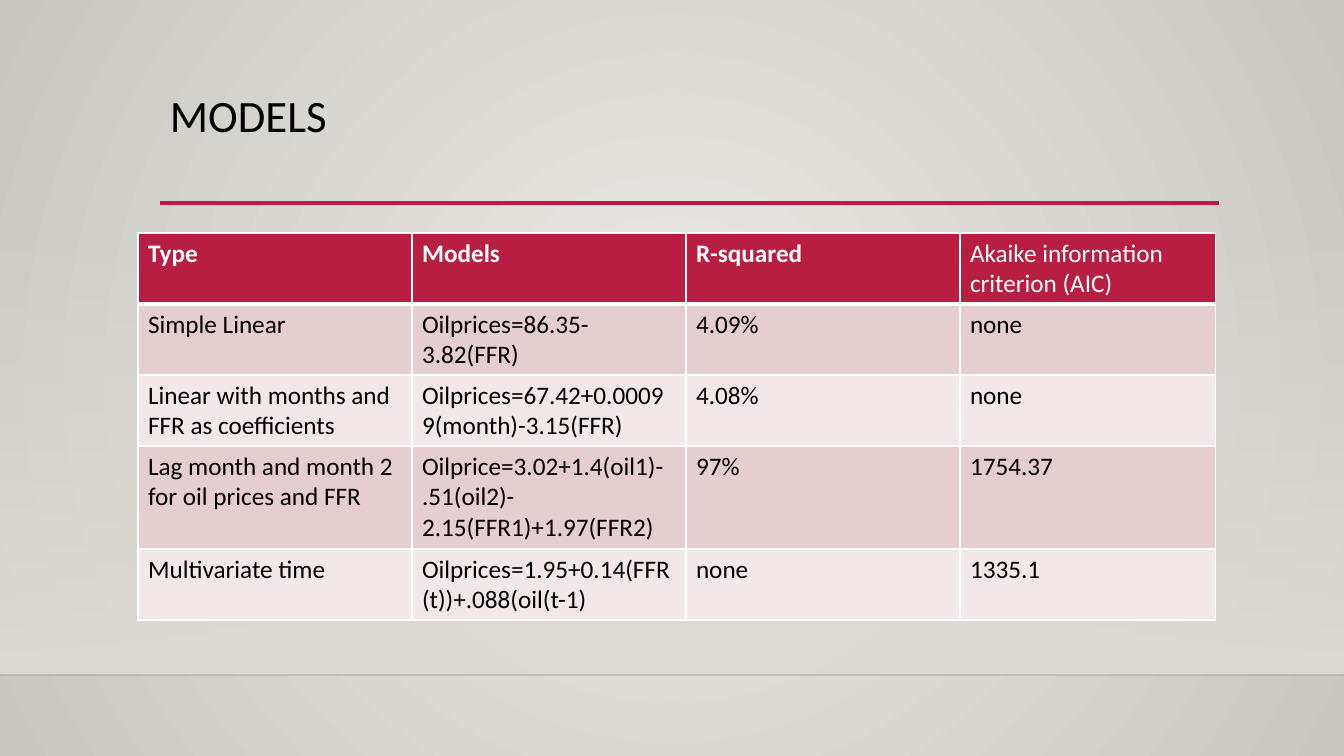
from pptx import Presentation
from pptx.dml.color import RGBColor
from pptx.enum.shapes import MSO_CONNECTOR, MSO_SHAPE
from pptx.enum.text import MSO_ANCHOR
from pptx.oxml import parse_xml
from pptx.oxml.ns import nsdecls, qn
from pptx.util import Pt

RECT, STRAIGHT = MSO_SHAPE.RECTANGLE, MSO_CONNECTOR.STRAIGHT
TOP = MSO_ANCHOR.TOP

TITLE = "MODELS"
ROWS = [
    ("Type", "Models", "R-squared", "Akaike information criterion (AIC)"),
    ("Simple Linear", "Oilprices=86.35-3.82(FFR)", "4.09%", "none"),
    ("Linear with months and FFR as coefficients",
     "Oilprices=67.42+0.00099(month)-3.15(FFR)", "4.08%", "none"),
    ("Lag month and month 2 for oil prices and FFR",
     "Oilprice=3.02+1.4(oil1)-.51(oil2)-2.15(FFR1)+1.97(FFR2)", "97%", "1754.37"),
    ("Multivariate time", "Oilprices=1.95+0.14(FFR(t))+.088(oil(t-1)", "none", "1335.1"),
]
COL_WIDTHS = [274, 274, 274, 256]
ROW_HEIGHTS = [71, 71, 71, 103, 71]

FONT = "Calibri"
RED, WHITE, BLACK = "B71E42", "FFFFFF", "000000"
BANDS = ["F3E8E9", "E6CDCF"]
WALL = "DFDBD5"
SLIDE_W, SLIDE_H = 1344, 756
WALL_TOP, FLOOR = 223, 675
RADIAL = '<a:path path="circle"><a:fillToRect l="50000" t="50000" r="50000" b="50000"/></a:path>'
DOWNWARD = '<a:lin ang="5400000" scaled="0"/>'


def px(n):
    return round(n * 914400 / 100.8)


def rgb(value):
    return RGBColor.from_string(value)


def set_gradient(fill, parent, stops, direction):
    """Fill parent with (position, colour, opacity) stops, all in percent."""
    fill.solid()
    gs = "".join(
        f'<a:gs pos="{pos * 1000}"><a:srgbClr val="{color}">'
        f'<a:alpha val="{opacity * 1000}"/></a:srgbClr></a:gs>'
        for pos, color, opacity in stops)
    solid = parent.find(qn("a:solidFill"))
    parent.replace(solid, parse_xml(
        f'<a:gradFill {nsdecls("a")} rotWithShape="1"><a:gsLst>{gs}</a:gsLst>{direction}</a:gradFill>'))


def add_line(x1, x2, y, color, width, opacity=100):
    line = slide.shapes.add_connector(STRAIGHT, px(x1), px(y), px(x2), px(y))
    line.line.color.rgb = rgb(color)
    line.line.width = Pt(width)
    spPr = line._element.spPr
    spPr.append(parse_xml(f'<a:effectLst {nsdecls("a")}/>'))
    if opacity < 100:
        clr = next(spPr.iter(qn("a:srgbClr")))
        clr.append(parse_xml(f'<a:alpha {nsdecls("a")} val="{opacity * 1000}"/>'))


def write(tf, text, size, color, bold=False):
    p = tf.paragraphs[0]
    r = p.add_run()
    r.text = text
    for name, value in {"name": FONT, "size": Pt(size), "bold": bold}.items():
        setattr(r.font, name, value)
    r.font.color.rgb = rgb(color)
    return p


def set_borders(cell, bottom):
    tcPr = cell._tc.get_or_add_tcPr()
    for side, width in {"L": 1, "R": 1, "T": 1, "B": bottom}.items():
        tcPr.append(parse_xml(
            f'<a:ln{side} {nsdecls("a")} w="{Pt(width)}"><a:solidFill>'
            f'<a:srgbClr val="{WHITE}"/></a:solidFill></a:ln{side}>'))


prs = Presentation()
prs.slide_width, prs.slide_height = px(SLIDE_W), px(SLIDE_H)
slide = prs.slides.add_slide(prs.slide_layouts[6])

bg_fill = slide.background.fill
set_gradient(bg_fill, next(slide._element.iter(qn("p:bgPr"))),
             [(0, "ECEAE7", 100), (100, "CAC7C1", 100)], RADIAL)

wall = slide.shapes.add_shape(RECT, 0, px(WALL_TOP), px(SLIDE_W), px(FLOOR - WALL_TOP))
wall.shadow.inherit = False
wall.line.fill.background()
set_gradient(wall.fill, wall._element.spPr, [(0, WALL, 0), (100, WALL, 100)], DOWNWARD)

add_line(0, SLIDE_W, FLOOR, "000001", 1, opacity=20)
add_line(160, 1219, 203, RED, 2.5)

title = slide.shapes.add_textbox(px(160), px(89), px(1058), px(116))
tf = title.text_frame
tf.word_wrap = True
tf.vertical_anchor = TOP
write(tf, TITLE, 32, BLACK).line_spacing = 0.9

table = slide.shapes.add_table(len(ROWS), len(COL_WIDTHS), px(138), px(233),
                               px(sum(COL_WIDTHS)), px(sum(ROW_HEIGHTS))).table
for column, width in zip(table.columns, COL_WIDTHS):
    column.width = px(width)
for i, (row, height, texts) in enumerate(zip(table.rows, ROW_HEIGHTS, ROWS)):
    row.height = px(height)
    header = i == 0
    for j, (cell, text) in enumerate(zip(row.cells, texts)):
        set_borders(cell, bottom=3 if header else 1)
        cell.fill.solid()
        cell.fill.fore_color.rgb = rgb(RED if header else BANDS[i % 2])
        write(cell.text_frame, text, 18, WHITE if header else BLACK,
              bold=header and j < len(texts) - 1)

prs.save("out.pptx")
